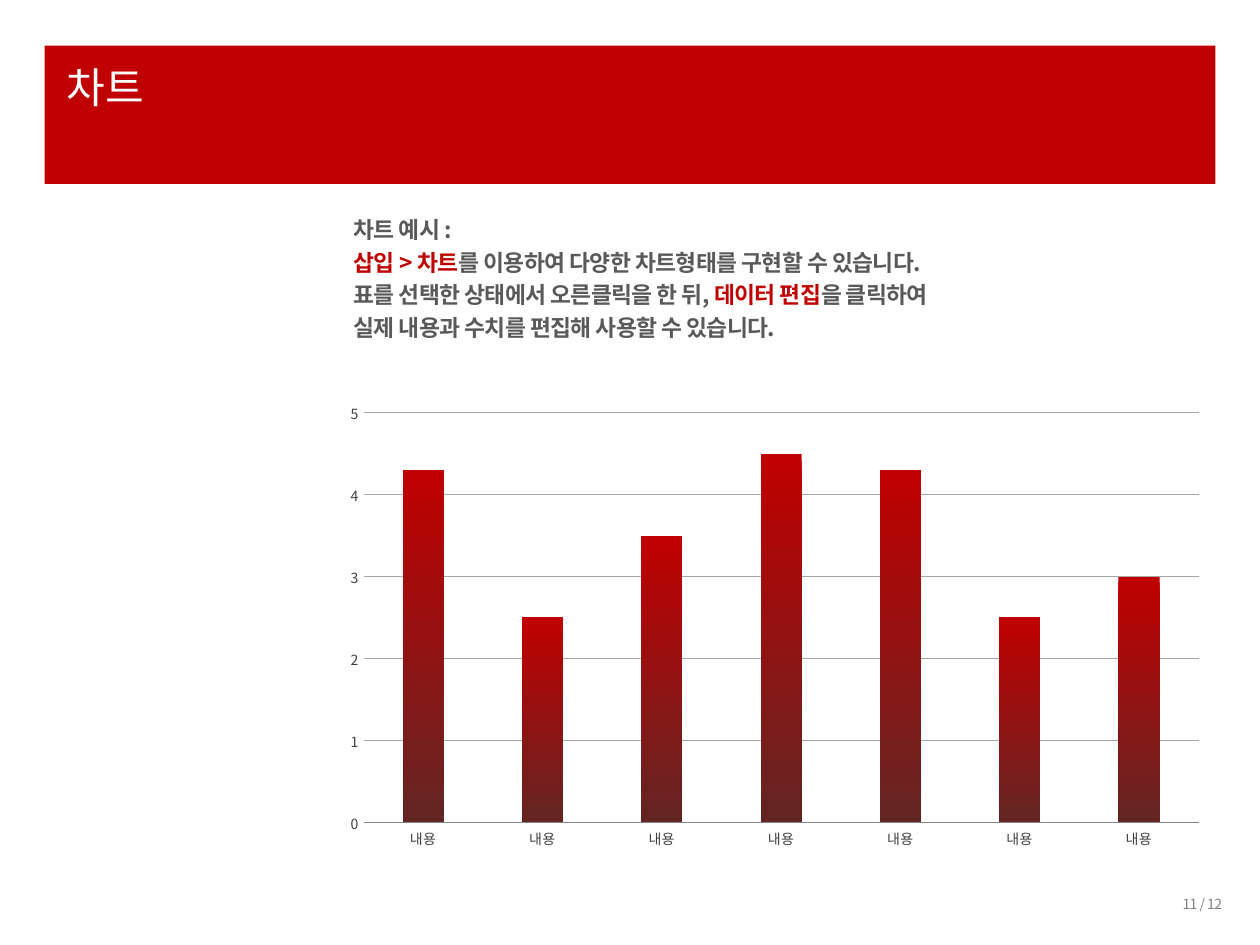
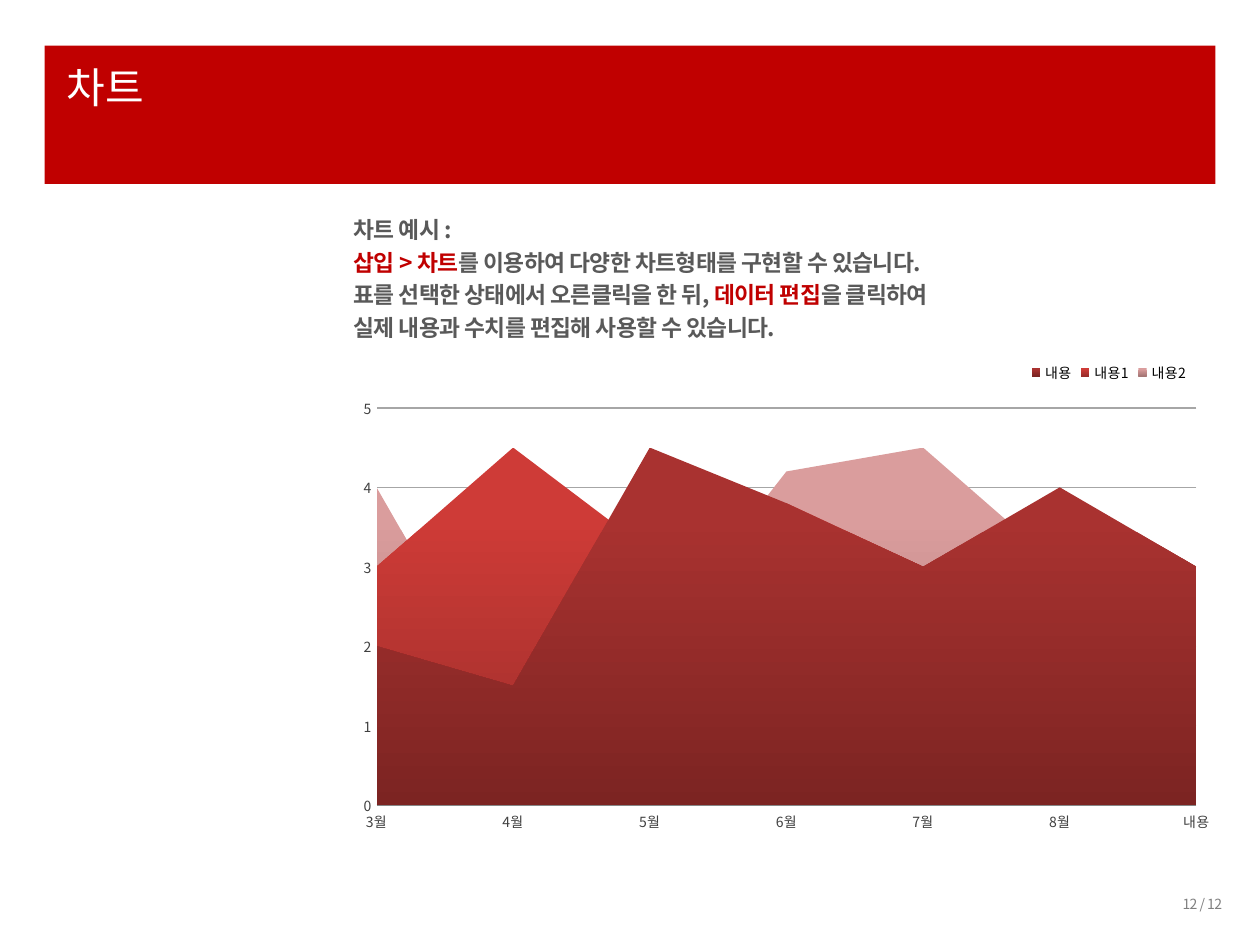
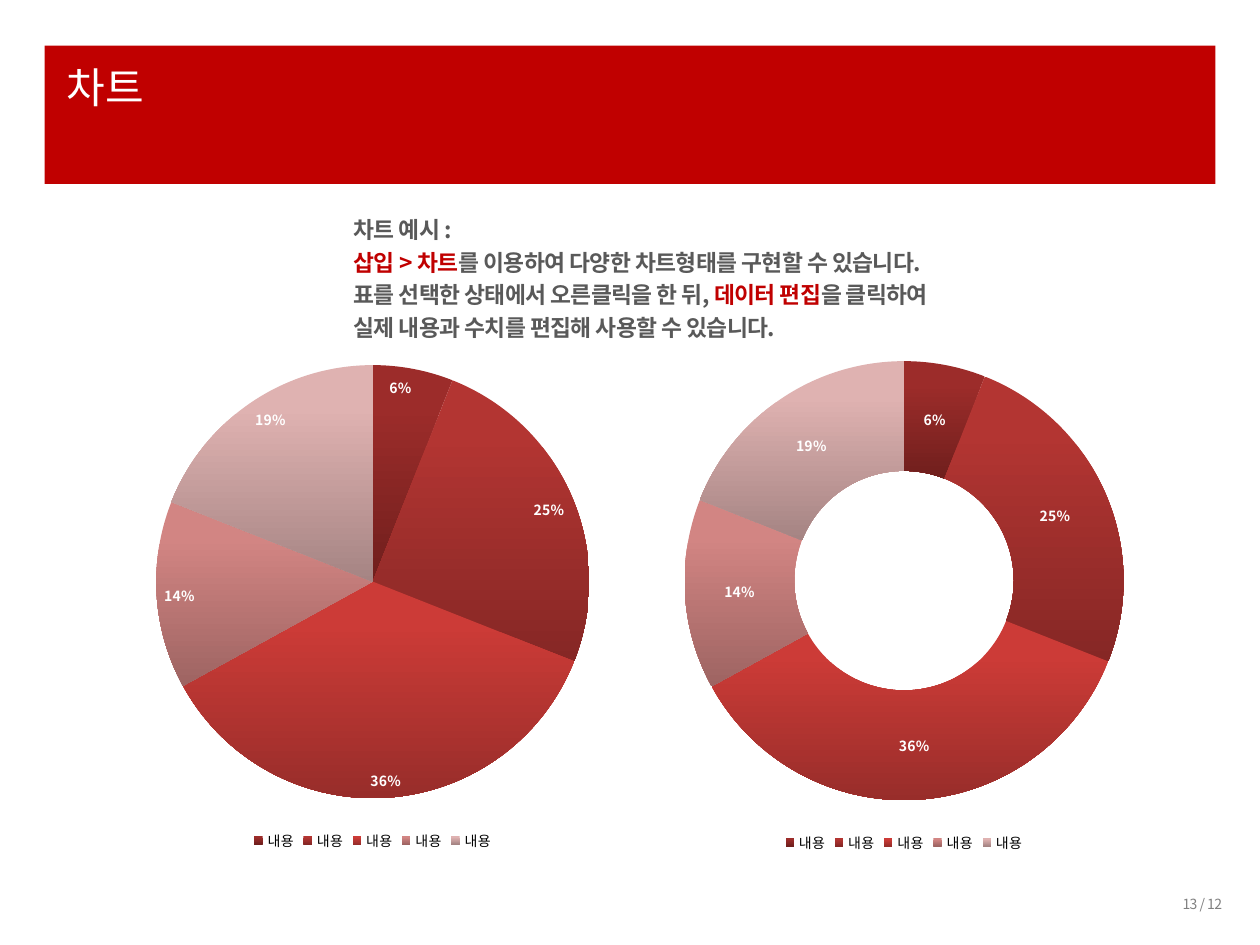
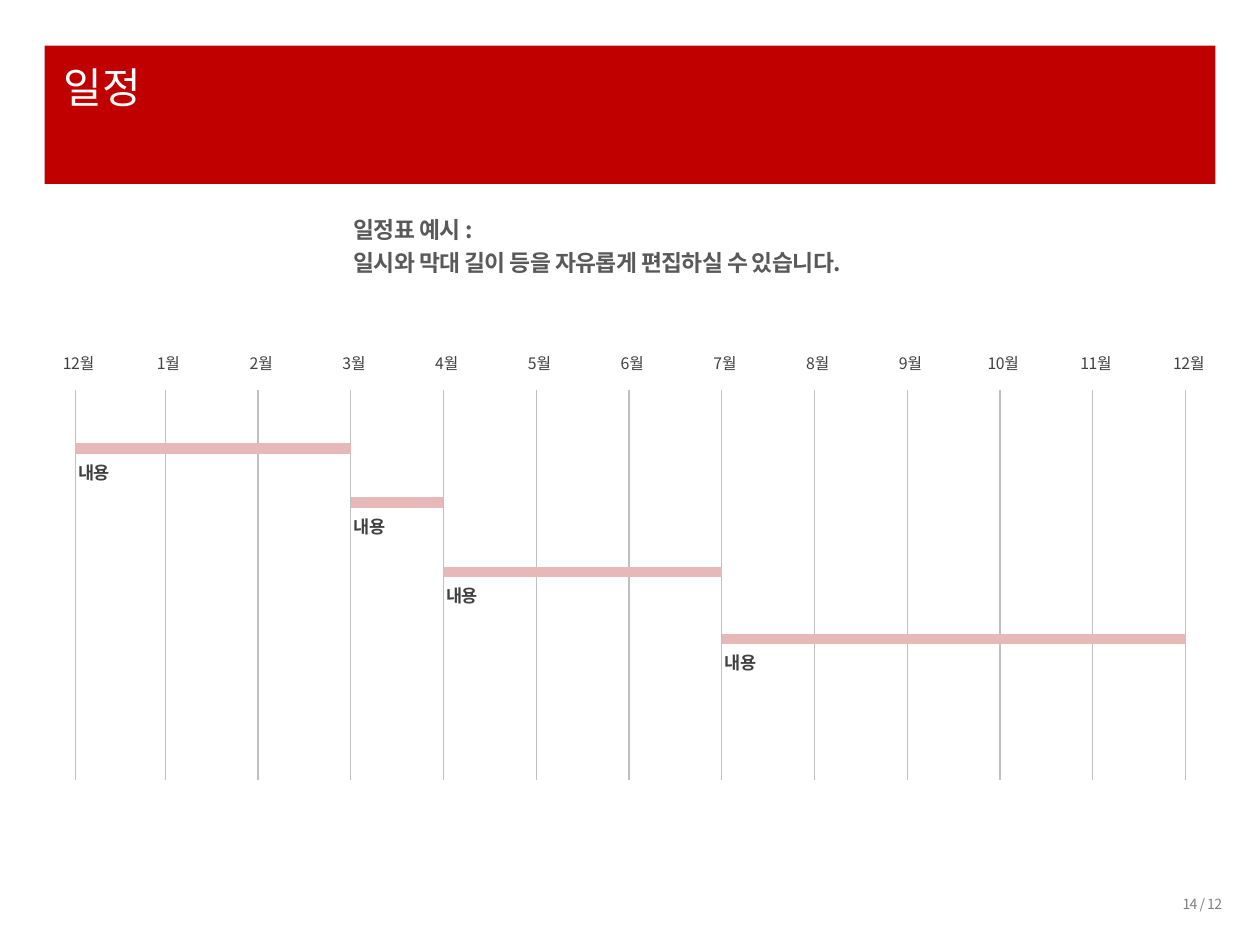
from dataclasses import dataclass
from typing import NamedTuple

from lxml import etree
from pptx import Presentation
from pptx.chart.chart import Chart
from pptx.chart.data import CategoryChartData
from pptx.dml.color import RGBColor
from pptx.dml.fill import FillFormat
from pptx.enum.chart import XL_CHART_TYPE, XL_LABEL_POSITION, XL_LEGEND_POSITION, XL_TICK_MARK
from pptx.enum.shapes import MSO_CONNECTOR, MSO_SHAPE
from pptx.enum.text import MSO_ANCHOR, MSO_AUTO_SIZE, PP_ALIGN
from pptx.oxml import parse_xml
from pptx.oxml.ns import nsdecls, qn
from pptx.slide import Slide
from pptx.util import Cm, Pt

COLUMN, AREA = XL_CHART_TYPE.COLUMN_CLUSTERED, XL_CHART_TYPE.AREA
PIE, DOUGHNUT = XL_CHART_TYPE.PIE, XL_CHART_TYPE.DOUGHNUT
LEGEND_TOP, LEGEND_BOTTOM = XL_LEGEND_POSITION.TOP, XL_LEGEND_POSITION.BOTTOM
TICK_NONE, TICK_INSIDE = XL_TICK_MARK.NONE, XL_TICK_MARK.INSIDE
INSIDE_END = XL_LABEL_POSITION.INSIDE_END
STRAIGHT, RECTANGLE = MSO_CONNECTOR.STRAIGHT, MSO_SHAPE.RECTANGLE
LEFT, CENTER, RIGHT = PP_ALIGN.LEFT, PP_ALIGN.CENTER, PP_ALIGN.RIGHT
TOP, MIDDLE = MSO_ANCHOR.TOP, MSO_ANCHOR.MIDDLE
NO_FIT, GROW = MSO_AUTO_SIZE.NONE, MSO_AUTO_SIZE.SHAPE_TO_FIT_TEXT

FONT = "Noto Sans CJK KR"
RED = RGBColor(0xC0, 0x00, 0x00)
DARK_RED = RGBColor(0x63, 0x25, 0x23)
PINK = RGBColor(0xE6, 0xB9, 0xB8)
WHITE = RGBColor(0xFF, 0xFF, 0xFF)
BLACK = RGBColor(0x00, 0x00, 0x00)
BODY_GRAY = RGBColor(0x59, 0x59, 0x59)
LABEL_GRAY = RGBColor(0x40, 0x40, 0x40)
PAGE_GRAY = RGBColor(0x80, 0x80, 0x80)
AXIS_GRAY = RGBColor(0x86, 0x86, 0x86)
GRID_GRAY = RGBColor(0xA6, 0xA6, 0xA6)
MONTH_GRAY = RGBColor(0xBF, 0xBF, 0xBF)


class Box(NamedTuple):
    """Left, top, width and height in centimetres."""
    left: float
    top: float
    width: float
    height: float

    def lengths(self) -> list[Cm]:
        return [Cm(value) for value in self]


class Run(NamedTuple):
    text: str
    color: RGBColor


class Gradient(NamedTuple):
    """Downward gradient; the start colour is plain up to the given position."""
    start: RGBColor
    end: RGBColor
    position: float = 0.2


class Task(NamedTuple):
    first_month: int
    last_month: int
    top: float


@dataclass(frozen=True)
class ChartStyle:
    kind: XL_CHART_TYPE
    box: Box
    gradients: list[Gradient]
    legend: XL_LEGEND_POSITION | None = None
    tick: XL_TICK_MARK = TICK_NONE
    grid_width: float = 0.25


BAND = Box(0.9, 0.92, 23.6, 2.79)
PAGE_NUMBER = Box(20.5, 17.93, 4.39, 0.61)
CHART_TITLE = Box(1.09, 1.12, 22.86, 2.41)
TALL_TITLE = CHART_TITLE._replace(height=3.18)
SCHEDULE_TITLE = CHART_TITLE._replace(left=1.04)
CHART_GUIDE_BOX = Box(6.88, 4.11, 17.42, 2.92)
SCHEDULE_GUIDE_BOX = Box(6.88, 4.11, 17.07, 1.6)

CHART_GUIDE = [
    ["차트 예시 :"],
    [Run("삽입 > 차트", RED), "를 이용하여 다양한 차트형태를 구현할 수 있습니다."],
    ["표를 선택한 상태에서 오른클릭을 한 뒤, ", Run("데이터 편집", RED), "을 클릭하여"],
    ["실제 내용과 수치를 편집해 사용할 수 있습니다."],
]
SCHEDULE_GUIDE = [["일정표 예시 :"], ["일시와 막대 길이 등을 자유롭게 편집하실 수 있습니다."]]

COLUMN_VALUES = {"Series 1": [4.3, 2.5, 3.5, 4.5, 4.3, 2.5, 3]}
AREA_CATEGORIES = [f"{month}월" for month in range(3, 9)] + ["내용"]
AREA_VALUES = {
    "내용": [2, 1.5, 4.5, 3.8, 3, 4, 3],
    "내용1": [3, 4.5, 3.2, 3.8, 3, 2.5, 1],
    "내용2": [4, 1, 2, 4.2, 4.5, 3, 2],
}
SHARE_VALUES = {"Series 1": [6, 25, 36, 14, 19]}

COLUMN_GRADIENTS = [Gradient(RED, DARK_RED, 0)]
AREA_GRADIENTS = [
    Gradient(RGBColor(0xA9, 0x32, 0x30), RGBColor(0x7C, 0x24, 0x22)),
    Gradient(RGBColor(0xCE, 0x3B, 0x37), RGBColor(0x9A, 0x2D, 0x2A)),
    Gradient(RGBColor(0xDA, 0x9D, 0x9D), RGBColor(0xA5, 0x76, 0x75)),
]
SHARE_GRADIENTS = [
    Gradient(RGBColor(0x9C, 0x2C, 0x2A), RGBColor(0x70, 0x1F, 0x1D)),
    Gradient(RGBColor(0xB3, 0x35, 0x32), RGBColor(0x86, 0x27, 0x25)),
    Gradient(RGBColor(0xCC, 0x3B, 0x37), RGBColor(0x98, 0x2D, 0x2A)),
    Gradient(RGBColor(0xD2, 0x85, 0x83), RGBColor(0x9E, 0x64, 0x62)),
    Gradient(RGBColor(0xDF, 0xB2, 0xB1), RGBColor(0xA5, 0x84, 0x83)),
]

MONTHS = ["12월"] + [f"{month}월" for month in range(1, 13)]
MONTH_LEFT, MONTH_STEP = 3.33, 1.87
YEAR_START = 1.52
GRID_TOP, GRID_BOTTOM = 7.87, 15.72
TASKS = [Task(0, 3, 9.04), Task(3, 4, 10.13), Task(4, 7, 11.53), Task(7, 12, 12.88)]


def add_text(slide: Slide, box: Box, paragraphs: list[list[Run | str]], *, size: float,
             color: RGBColor, bold: bool = False, align: PP_ALIGN = LEFT,
             anchor: MSO_ANCHOR = TOP, spacing: float = 1.0, tracking: float = -0.3,
             wrap: bool = True, fit: MSO_AUTO_SIZE = GROW) -> None:
    frame = slide.shapes.add_textbox(*box.lengths()).text_frame
    frame.word_wrap = wrap
    frame.auto_size = fit
    frame.vertical_anchor = anchor
    for index, pieces in enumerate(paragraphs):
        paragraph = frame.add_paragraph() if index else frame.paragraphs[0]
        paragraph.alignment = align
        paragraph.line_spacing = spacing
        for piece in pieces:
            part = piece if isinstance(piece, Run) else Run(piece, color)
            run = paragraph.add_run()
            run.text = part.text
            set_font(run.font, size, part.color, bold)
            if tracking:
                run._r.get_or_add_rPr().set("spc", str(round(tracking * 100)))


def set_font(font, size: float, color: RGBColor, bold: bool = False) -> None:
    font.name = FONT
    font.size = Pt(size)
    font.bold = bold
    font.color.rgb = color


def add_east_asian_font(root) -> None:
    """Repeat each Latin typeface as the typeface for Korean letters."""
    for latin in list(root.iter(qn("a:latin"))):
        latin.addnext(parse_xml(f'<a:ea {nsdecls("a")} typeface="{FONT}"/>'))


def add_line(slide: Slide, start: tuple[float, float], end: tuple[float, float],
             color: RGBColor, width: float) -> None:
    points = [Cm(value) for value in (*start, *end)]
    connector = slide.shapes.add_connector(STRAIGHT, *points)
    connector.line.color.rgb = color
    connector.line.width = Pt(width)
    etree.SubElement(connector.element.spPr, qn("a:effectLst"))


def add_frame(slide: Slide, title: str, title_box: Box, page: int,
              guide: list[list[Run | str]], guide_box: Box) -> None:
    """Draw the band, page number, guide text and title."""
    band = slide.shapes.add_shape(RECTANGLE, *BAND.lengths())
    band.shadow.inherit = False
    band.fill.solid()
    band.fill.fore_color.rgb = RED
    band.line.fill.background()
    add_text(slide, PAGE_NUMBER, [[f"{page} / 12"]], size=8, color=PAGE_GRAY, align=RIGHT)
    add_text(slide, guide_box, guide, size=13, color=BODY_GRAY, bold=True, spacing=1.2)
    add_text(slide, title_box, [[title]], size=24, color=WHITE, tracking=0, fit=NO_FIT)
    add_east_asian_font(slide.element)


def apply_gradient(fill: FillFormat, gradient: Gradient) -> None:
    fill.gradient()
    fill.gradient_angle = 270
    first, last = fill.gradient_stops
    first.color.rgb, first.position = gradient.start, gradient.position
    last.color.rgb, last.position = gradient.end, 1


def style_axes(chart: Chart, style: ChartStyle) -> None:
    category_axis, value_axis = chart.category_axis, chart.value_axis
    for axis in (category_axis, value_axis):
        axis.minor_tick_mark = TICK_NONE
        set_font(axis.tick_labels.font, 8, LABEL_GRAY)
    category_axis.major_tick_mark = TICK_NONE
    category_axis.format.line.color.rgb = AXIS_GRAY
    value_axis.major_tick_mark = style.tick
    value_axis.minimum_scale, value_axis.maximum_scale = 0, 5
    value_axis.major_unit = 1
    value_axis.format.line.fill.background()
    value_axis.has_major_gridlines = True
    grid = value_axis.major_gridlines.format.line
    grid.color.rgb = GRID_GRAY
    grid.width = Pt(style.grid_width)


def add_share_labels(chart: Chart, style: ChartStyle) -> None:
    plot = chart.plots[0]
    plot.has_data_labels = True
    labels = plot.data_labels
    labels.show_percentage = True
    labels.show_value = False
    labels.number_format, labels.number_format_is_linked = "0%", False
    set_font(labels.font, 8, WHITE, bold=True)
    if style.kind == PIE:
        labels.position = INSIDE_END


def add_chart(slide: Slide, style: ChartStyle, categories: list[str],
              values: dict[str, list[float]]) -> Chart:
    data = CategoryChartData()
    data.categories = categories
    for name, numbers in values.items():
        data.add_series(name, numbers)
    chart = slide.shapes.add_chart(style.kind, *style.box.lengths(), data).chart
    set_font(chart.font, 18, BLACK)
    chart.has_title = False
    chart.has_legend = style.legend is not None
    if chart.has_legend:
        chart.legend.position = style.legend
        chart.legend.include_in_layout = False
        set_font(chart.legend.font, 8, BLACK)

    plot = chart.plots[0]
    is_share = style.kind in (PIE, DOUGHNUT)
    plot.vary_by_categories = is_share
    if is_share:
        add_share_labels(chart, style)
        parts = [plot.series[0].points[index] for index in range(len(categories))]
    else:
        style_axes(chart, style)
        parts = list(plot.series)
    for part, gradient in zip(parts, style.gradients):
        apply_gradient(part.format.fill, gradient)
        part.format.line.fill.background()

    chart.element.find(qn("c:chart")).addnext(parse_xml(
        f'<c:spPr {nsdecls("c", "a")}><a:noFill/><a:ln><a:noFill/></a:ln></c:spPr>'))
    add_east_asian_font(chart.element)
    return chart


def manual_layout(target: str = "", **fractions: float):
    """Make a chart layout from fractions of the chart's width and height."""
    layout = etree.Element(qn("c:layout"))
    manual = etree.SubElement(layout, qn("c:manualLayout"))
    settings = {"layoutTarget": target} if target else {}
    settings |= {"xMode": "edge", "yMode": "edge"}
    settings |= {name: str(value) for name, value in fractions.items()}
    for name, value in settings.items():
        etree.SubElement(manual, qn(f"c:{name}")).set("val", value)
    return layout


def place_area_parts(chart: Chart) -> None:
    """Fix the plot and legend places and start the areas on the value axis."""
    plot_area = next(chart.element.iter(qn("c:plotArea")))
    for layout in plot_area.findall(qn("c:layout")):
        plot_area.remove(layout)
    plot_area.insert(0, manual_layout("inner", x=0.08, y=0.27, w=0.87, h=0.54))
    legend = next(chart.element.iter(qn("c:legend")))
    for layout in legend.findall(qn("c:layout")):
        legend.remove(layout)
    legend.find(qn("c:legendPos")).addnext(manual_layout(x=0.77, y=0.2))
    for crossing in chart.element.iter(qn("c:crossBetween")):
        crossing.set("val", "midCat")


def month_position(index: int) -> float:
    return MONTH_LEFT + MONTH_STEP * (index - 1) if index else YEAR_START


def add_schedule(slide: Slide) -> None:
    for index, month in enumerate(MONTHS):
        position = month_position(index)
        add_text(slide, Box(position - 0.85, 6.93, 1.83, 0.79), [[month]], size=9,
                 color=LABEL_GRAY, align=CENTER, anchor=MIDDLE, wrap=False, fit=NO_FIT)
        add_line(slide, (position, GRID_TOP), (position, GRID_BOTTOM), MONTH_GRAY, 0.75)
    for task in TASKS:
        start, end = month_position(task.first_month), month_position(task.last_month)
        add_text(slide, Box(start - 0.19, task.top + 0.1, 5.08, 0.69), [["내용"]], size=10,
                 color=LABEL_GRAY, bold=True, spacing=1.1)
        add_line(slide, (start, task.top), (end, task.top), PINK, 6)


def main() -> None:
    presentation = Presentation()
    presentation.slide_width, presentation.slide_height = Cm(25.4), Cm(19.05)
    blank = presentation.slide_layouts[6]
    column_slide, area_slide, share_slide, schedule_slide = (
        presentation.slides.add_slide(blank) for _ in range(4))

    column = ChartStyle(COLUMN, Box(6.71, 7.92, 17.81, 9.37), COLUMN_GRADIENTS)
    chart = add_chart(column_slide, column, ["내용"] * 7, COLUMN_VALUES)
    chart.plots[0].gap_width = 190
    add_frame(column_slide, "차트", CHART_TITLE, 11, CHART_GUIDE, CHART_GUIDE_BOX)

    area = ChartStyle(AREA, Box(6.07, 4.22, 19, 14.83), AREA_GRADIENTS,
                      LEGEND_TOP, TICK_INSIDE, 0.75)
    place_area_parts(add_chart(area_slide, area, AREA_CATEGORIES, AREA_VALUES))
    add_frame(area_slide, "차트", TALL_TITLE, 12, CHART_GUIDE, CHART_GUIDE_BOX)

    for kind, box in ((PIE, Box(1.14, 7.01, 12.75, 10.24)),
                      (DOUGHNUT, Box(12.09, 6.93, 12.27, 10.36))):
        share = ChartStyle(kind, box, SHARE_GRADIENTS, LEGEND_BOTTOM)
        add_chart(share_slide, share, ["내용"] * 5, SHARE_VALUES)
    add_frame(share_slide, "차트", CHART_TITLE, 13, CHART_GUIDE, CHART_GUIDE_BOX)

    add_schedule(schedule_slide)
    add_frame(schedule_slide, "일정", SCHEDULE_TITLE, 14, SCHEDULE_GUIDE, SCHEDULE_GUIDE_BOX)

    presentation.save("out.pptx")


if __name__ == "__main__":
    main()
